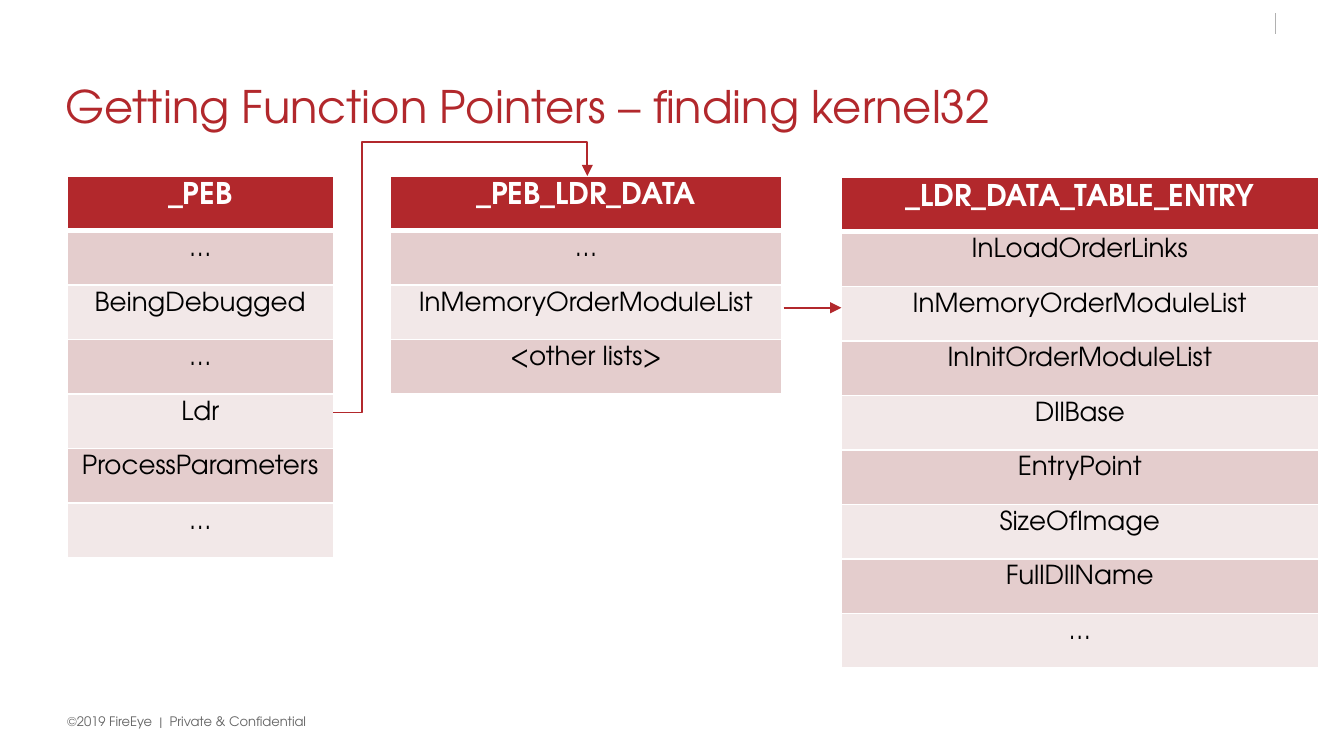
"""Build the slide on finding kernel32 through the PEB structures."""
from pptx import Presentation
from pptx.dml.color import RGBColor as RGB
from pptx.enum.shapes import MSO_CONNECTOR as CONN
from pptx.enum.text import MSO_ANCHOR as ANCHOR, PP_ALIGN as ALIGN
from pptx.oxml.ns import qn
from pptx.util import Inches, Pt
from lxml.etree import SubElement

WIDE = 10
HIGH = WIDE * 9 / 16
ROW = 3.65 / 9
FONT = "TeX Gyre Adventor"
INK = {"red": "B2282C", "dark": "E4CDCD", "pale": "F2E8E8", "white": "FFFFFF",
       "black": "000000", "gray": "656565", "rule": "B1B1B1"}
STYLE = {
    "title": {"size": Pt(24), "name": FONT, "bold": False, "ink": "red"},
    "foot": {"size": Pt(7), "name": FONT, "bold": False, "ink": "gray"},
    "head": {"size": Pt(16), "name": FONT, "bold": True, "ink": "white"},
    "cell": {"size": Pt(14), "name": FONT, "bold": False, "ink": "black"},
}
TEXTS = [
    ("©2019 FireEye  |  Private & Confidential", "foot",
     (0.5, 5.26, 3.26, 0.22), 0, 1),
    ("Getting Function Pointers – finding kernel32", "title",
     (0.39, 0.58, 9.11, 0.46), 0.1, 0.9),
]
TABLES = [
    (0.5, 1.31, 1.98, ["_PEB", "…", "BeingDebugged", "…", "Ldr",
                       "ProcessParameters", "…"]),
    (2.9, 1.31, 2.92, ["_PEB_LDR_DATA", "…", "InMemoryOrderModuleList",
                       "<other lists>"]),
    (6.26, 1.32, 3.55, ["_LDR_DATA_TABLE_ENTRY", "InLoadOrderLinks",
                        "InMemoryOrderModuleList", "InInitOrderModuleList",
                        "DllBase", "EntryPoint", "SizeOfImage",
                        "FullDllName", "…"]),
]
LINES = [
    ((9.49, 0.1), (9.49, 0.25), "rule", 0.75, False, None),
    ((2.48, 3.07), (4.37, 1.31), "red", 1, True, (11300, 114200)),
    ((5.83, 2.29), (6.26, 2.29), "red", 1, True, None),
]


def color(name):
    return RGB.from_string(INK[name])


def write(para, text, style):
    run = para.add_run()
    run.text = text
    for key, val in STYLE[style].items():
        if key == "ink":
            run.font.color.rgb = color(val)
        else:
            setattr(run.font, key, val)


def add_text(slide, text, style, area, left, space):
    frame = slide.shapes.add_textbox(*map(Inches, area)).text_frame
    form = {"word_wrap": True, "margin_left": Inches(left),
            "margin_right": Inches(0.1), "margin_top": Inches(0.05),
            "margin_bottom": Inches(0.05), "vertical_anchor": ANCHOR.MIDDLE}
    for key, val in form.items():
        setattr(frame, key, val)
    para = frame.paragraphs[0]
    para.line_spacing = space
    write(para, text, style)


def edge(cell, sizes):
    props = cell._tc.get_or_add_tcPr()
    for spot, (side, size) in enumerate(sizes.items()):
        line = SubElement(props, qn("a:ln" + side), w=str(Pt(size)))
        fill = SubElement(line, qn("a:solidFill"))
        SubElement(fill, qn("a:srgbClr"), val=INK["white"])
        props.insert(spot, line)


def add_grid(slide, left, top, width, names):
    area = map(Inches, (left, top, width, ROW * len(names)))
    table = slide.shapes.add_table(len(names), 1, *area).table
    for row, name in enumerate(names):
        table.rows[row].height = Inches(ROW)
        cell = table.cell(row, 0)
        for side in ("left", "right", "top", "bottom"):
            setattr(cell, "margin_" + side, Inches(0.05))
        tone = "red" if row == 0 else ("pale", "dark")[row % 2]
        cell.fill.solid()
        cell.fill.fore_color.rgb = color(tone)
        edge(cell, {"L": 1, "R": 1, "T": 3 if row == 1 else 1,
                    "B": 3 if row == 0 else 1})
        para = cell.text_frame.paragraphs[0]
        para.alignment = ALIGN.CENTER
        write(para, name, "cell" if row else "head")


def add_line(slide, start, end, ink, size, arrow, bends):
    kind = CONN.ELBOW if bends else CONN.STRAIGHT
    link = slide.shapes.add_connector(kind, *map(Inches, start + end))
    link.line.color.rgb = color(ink)
    link.line.width = Pt(size)
    props = link._element.spPr
    if arrow:
        SubElement(props.find(qn("a:ln")), qn("a:tailEnd"), type="triangle")
    if bends:
        geom = props.find(qn("a:prstGeom"))
        geom.set("prst", "bentConnector4")
        for num, val in enumerate(bends, 1):
            SubElement(geom.find(qn("a:avLst")), qn("a:gd"),
                       name=f"adj{num}", fmla=f"val {val}")
    SubElement(props, qn("a:effectLst"))


def main():
    deck = Presentation()
    deck.slide_width, deck.slide_height = Inches(WIDE), Inches(HIGH)
    slide = deck.slides.add_slide(deck.slide_layouts[6])
    for add, items in ((add_text, TEXTS), (add_grid, TABLES),
                       (add_line, LINES)):
        for item in items:
            add(slide, *item)
    deck.save("out.pptx")


if __name__ == "__main__":
    main()
